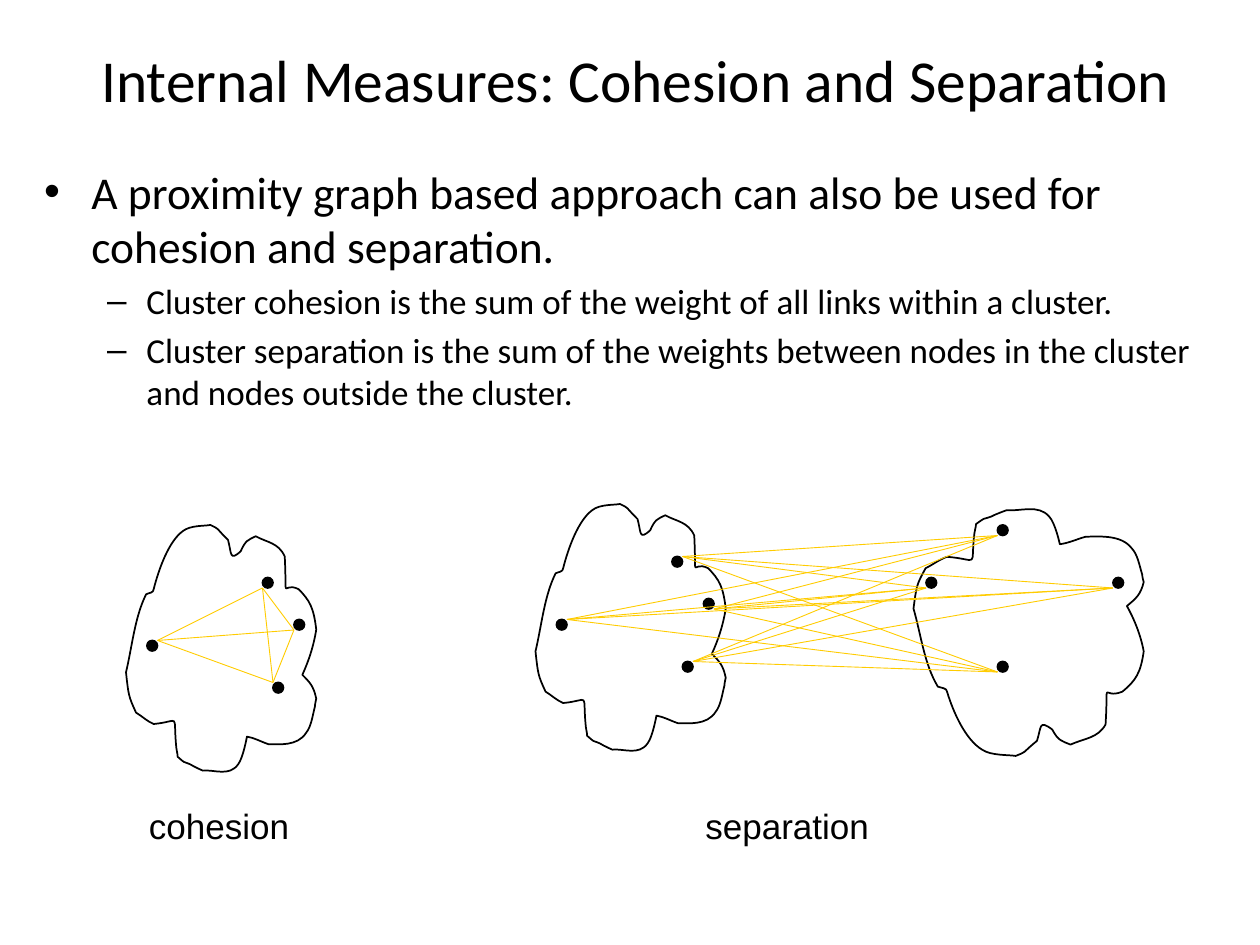
from itertools import combinations, product

from lxml.etree import SubElement
from pptx import Presentation
from pptx.dml.color import RGBColor
from pptx.enum.shapes import MSO_CONNECTOR as Connector, MSO_SHAPE as Shape
from pptx.enum.text import MSO_AUTO_SIZE as AutoSize
from pptx.oxml.ns import qn
from pptx.util import Inches, Pt

COLORS = {"ink": "000000", "link": "FFCC00"}
CELL = Inches(1) / 12  # the slide is a grid of 120 columns by 90 rows

deck = Presentation()
deck.slide_width, deck.slide_height = round(120 * CELL), round(90 * CELL)
page = deck.slides.add_slide(deck.slide_layouts[1])


def place(item, column, row, columns, rows):
    item.left, item.top = round(column * CELL), round(row * CELL)
    item.width, item.height = round(columns * CELL), round(rows * CELL)


def write(para, text, size, font):
    span = para.add_run()
    span.text = text
    span.font.size, span.font.name = Pt(size), font
    span.font.color.rgb = RGBColor.from_string(COLORS["ink"])


# Title and list
title = page.shapes.title
place(title, 4, 0, 113, 15)
write(title.text_frame.paragraphs[0],
      "Internal Measures: Cohesion and Separation", 34, "Calibri")

body = page.placeholders[1]
place(body, 3, 15, 114, 73)
body.text_frame.auto_size = AutoSize.NONE
points = [
    (0, 26, "A proximity graph based approach can also be used for cohesion and separation."),
    (1, 20, "Cluster cohesion is the sum of the weight of all links within a cluster."),
    (1, 20, "Cluster separation is the sum of the weights between nodes in the cluster "
            "and nodes outside the cluster."),
]
for index, (level, size, text) in enumerate(points):
    para = body.text_frame.add_paragraph() if index else body.text_frame.paragraphs[0]
    para.level = level
    write(para, text, size, "Calibri")

# Cluster outline in hundredths of an inch: a start, then two handles and an end per curve
OUTLINE_LEFT, OUTLINE_TOP = 425, 400
OUTLINE_START = (441, 455)
OUTLINE_CURVES = [
    (432, 473, 430, 496, 425, 517), (427, 535, 427, 536, 433, 549),
    (438, 552, 442, 556, 447, 558), (469, 556, 462, 548, 465, 577),
    (465, 579, 466, 581, 466, 584), (473, 590, 469, 587, 476, 590),
    (479, 592, 486, 595, 486, 595), (495, 594, 507, 600, 514, 590),
    (518, 585, 521, 568, 521, 568), (527, 569, 532, 572, 538, 574),
    (546, 574, 561, 576, 568, 565), (572, 560, 573, 552, 575, 544),
    (575, 542, 576, 538, 576, 538), (574, 528, 571, 525, 565, 519),
    (570, 508, 574, 496, 576, 483), (574, 466, 571, 460, 562, 451),
    (548, 444, 553, 465, 551, 425), (546, 414, 537, 414, 528, 409),
    (522, 412, 520, 412, 516, 421), (507, 429, 509, 423, 506, 412),
    (495, 401, 500, 404, 492, 400), (488, 401, 476, 400, 470, 405),
    (459, 413, 451, 435, 447, 451), (447, 454, 443, 454, 441, 455),
]

# Each cluster: left column, top row, width stretch, height stretch, nodes.
# A node is a column, a row and the cell offset at which its links meet.
left_cluster = (51, 48, 1, 1,
                [(65, 63, 1, 0), (67, 57, 1, 1), (53, 59, 1, 0), (64, 53, 1, 0)])
right_cluster = (87, 72, 1.21, -1,
                 [(95, 63, 0, 1), (88.2, 55, 0, 1), (95, 50, 0, 1), (106, 55, 0, 1)])
single_cluster = (12, 50, 1, 1,
                  [(26, 65, 0, 0), (25, 55, 0, 1), (14, 61, 1, 0), (28, 59, 0, 1)])

figures = [
    ([left_cluster, right_cluster], product(left_cluster[4], right_cluster[4])),
    ([single_cluster], combinations(single_cluster[4], 2)),
]

for clusters, links in figures:
    for column, row, stretch_x, stretch_y, nodes in clusters:
        vertices = [
            (round(column * CELL + Inches((x - OUTLINE_LEFT) * stretch_x / 100)),
             round(row * CELL + Inches((y - OUTLINE_TOP) * stretch_y / 100)))
            for curve in [OUTLINE_START, *OUTLINE_CURVES]
            for x, y in zip(curve[::2], curve[1::2])
        ]
        builder = page.shapes.build_freeform(*vertices[0])
        builder.add_line_segments(vertices[1:], close=True)
        outline = builder.convert_to_shape()
        outline.shadow.inherit = False
        outline.fill.background()
        outline.line.color.rgb = RGBColor.from_string(COLORS["ink"])
        outline.line.width = Pt(1)

        # Join every three straight segments into one Bézier curve
        segments = list(outline.element.iter(qn("a:lnTo")))
        for first, second, third in zip(segments[::3], segments[1::3], segments[2::3]):
            first.tag = qn("a:cubicBezTo")
            for segment in (second, third):
                first.append(segment[0])
                segment.getparent().remove(segment)

        for node_column, node_row, _, _ in nodes:
            dot = page.shapes.add_shape(Shape.OVAL, 0, 0, 0, 0)
            place(dot, node_column, node_row, 1, 1)
            dot.shadow.inherit = False
            dot.fill.solid()
            dot.fill.fore_color.rgb = RGBColor.from_string(COLORS["ink"])
            dot.line.color.rgb = RGBColor.from_string(COLORS["ink"])
            dot.line.width = Pt(1)

    for pair in links:
        ends = [round(cells * CELL) for column, row, dx, dy in pair
                for cells in (column + dx, row + dy)]
        link = page.shapes.add_connector(Connector.STRAIGHT, *ends)
        link.line.color.rgb = RGBColor.from_string(COLORS["link"])
        link.line.width = Pt(0.5)
        SubElement(link.element.spPr, qn("a:effectLst"))

# Captions
for text, column, columns in [("cohesion", 13, 16), ("separation", 66, 18.2)]:
    box = page.shapes.add_textbox(0, 0, 0, 0)
    place(box, column, 76, columns, 5.2)
    box.text_frame.word_wrap = False
    box.text_frame.auto_size = AutoSize.SHAPE_TO_FIT_TEXT
    write(box.text_frame.paragraphs[0], text, 20, "Arial")

deck.save("out.pptx")
